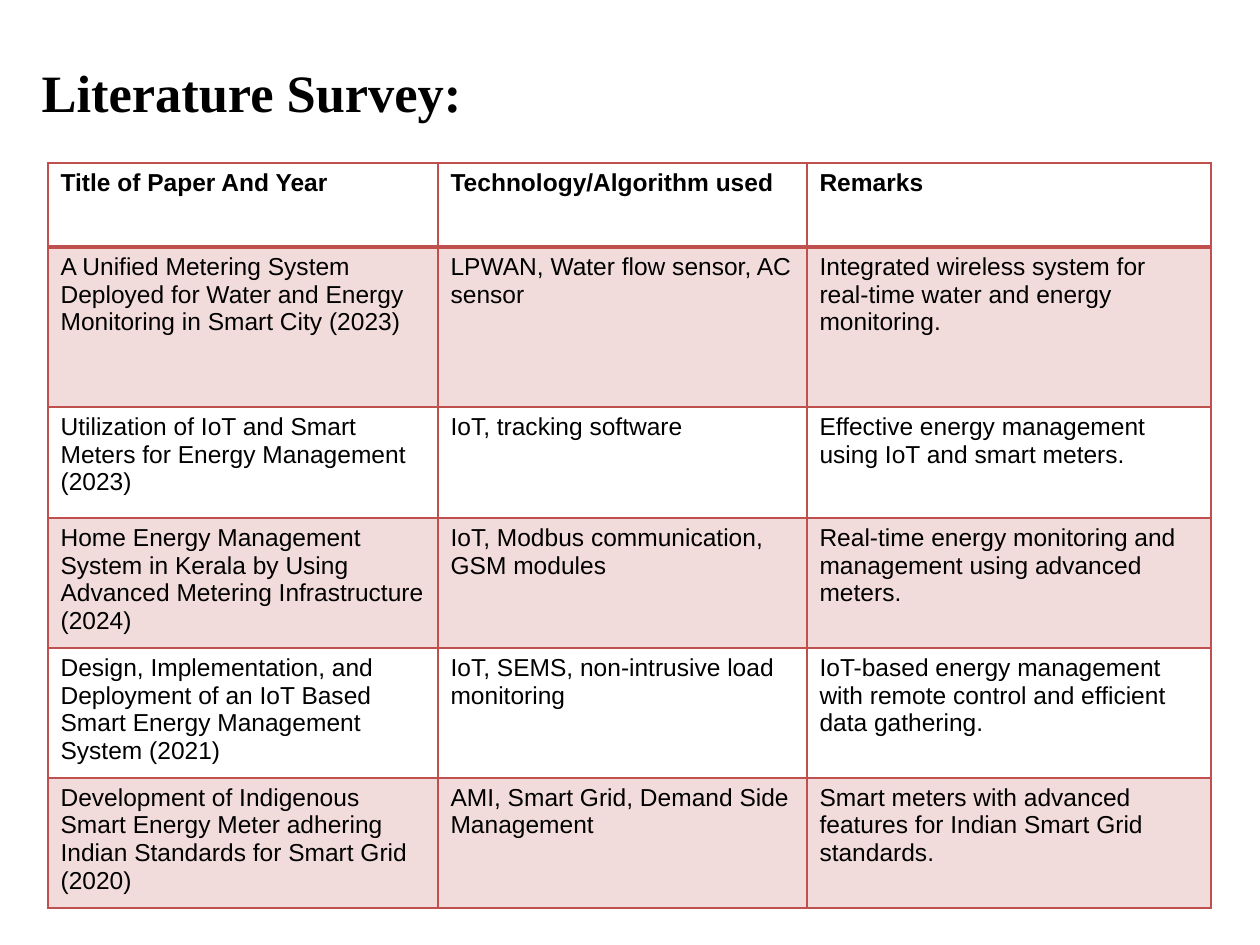
from lxml.etree import SubElement
from pptx import Presentation
from pptx.dml.color import RGBColor
from pptx.enum.text import MSO_ANCHOR, PP_ALIGN
from pptx.oxml import parse_xml
from pptx.oxml.ns import nsdecls, qn
from pptx.util import Emu, Pt

RED = "C0504D"
BLACK = "000000"
COLUMN_WIDTHS = [390, 369, 404]
ROW_HEIGHTS = [84, 160, 111, 130, 130, 130]
SURVEY = [
    ("Title of Paper And Year", "Technology/Algorithm used", "Remarks"),
    ("A Unified Metering System Deployed for Water and Energy Monitoring in Smart City (2023)",
     "LPWAN, Water flow sensor, AC sensor",
     "Integrated wireless system for real-time water and energy monitoring."),
    ("Utilization of IoT and Smart Meters for Energy Management (2023)",
     "IoT, tracking software",
     "Effective energy management using IoT and smart meters."),
    ("Home Energy Management System in Kerala by Using Advanced Metering Infrastructure (2024)",
     "IoT, Modbus communication, GSM modules",
     "Real-time energy monitoring and management using advanced meters."),
    ("Design, Implementation, and Deployment of an IoT Based Smart Energy Management System (2021)",
     "IoT, SEMS, non-intrusive load monitoring",
     "IoT-based energy management with remote control and efficient data gathering."),
    ("Development of Indigenous Smart Energy Meter adhering Indian Standards for Smart Grid (2020)",
     "AMI, Smart Grid, Demand Side Management",
     "Smart meters with advanced features for Indian Smart Grid standards."),
]


def px(length):
    return Emu(round(length * 914400 / 126))


def color(hex_code):
    return RGBColor.from_string(hex_code)


def add_span(para, text, font, size, bold=False):
    span = para.add_run()
    span.text = text
    span.font.name = font
    span.font.size = Pt(size)
    span.font.bold = bold
    span.font.color.rgb = color(BLACK)


def add_title(page, text):
    box = page.shapes.title
    box.left, box.top, box.width, box.height = px(29), px(45), px(1134), px(93)
    frame = box.text_frame
    frame.word_wrap = True
    frame.vertical_anchor = MSO_ANCHOR.MIDDLE
    para = frame.paragraphs[0]
    para.alignment = PP_ALIGN.LEFT
    add_span(para, text, "Times New Roman", 30, bold=True)


def fill_cell(cell, shaded):
    if not shaded:
        cell.fill.background()
        return
    cell.fill.solid()
    cell.fill.fore_color.rgb = color(RED)
    tint = cell._tc.tcPr.find(".//" + qn("a:srgbClr"))
    SubElement(tint, qn("a:alpha"), val="20000")


def border_cell(cell, widths):
    # Borders come before the fill in the cell properties
    properties = cell._tc.get_or_add_tcPr()
    for position, (side, width) in enumerate(widths.items()):
        properties.insert(position, parse_xml(
            f'<a:ln{side} {nsdecls("a")} w="{Pt(width)}"><a:solidFill>'
            f'<a:srgbClr val="{RED}"/></a:solidFill></a:ln{side}>'))


def add_survey_table(page):
    frame = page.shapes.add_table(
        len(SURVEY), len(COLUMN_WIDTHS), px(48), px(163),
        px(sum(COLUMN_WIDTHS)), px(sum(ROW_HEIGHTS)))
    table = frame.table
    table.first_row = table.horz_banding = False
    for column, width in zip(table.columns, COLUMN_WIDTHS):
        column.width = px(width)
    for index, (row, height, texts) in enumerate(zip(table.rows, ROW_HEIGHTS, SURVEY)):
        row.height = px(height)
        # The rule under the heading row is heavier
        widths = {"L": 1, "R": 1, "T": 2 if index == 1 else 1, "B": 2 if index == 0 else 1}
        for cell, text in zip(row.cells, texts):
            add_span(cell.text_frame.paragraphs[0], text, "Arial", 14, bold=index == 0)
            fill_cell(cell, shaded=index % 2 == 1)
            border_cell(cell, widths)


def main():
    deck = Presentation()
    deck.slide_width, deck.slide_height = px(1260), px(945)
    page = deck.slides.add_slide(deck.slide_layouts[5])
    add_title(page, "Literature Survey:")
    add_survey_table(page)
    deck.save("out.pptx")


if __name__ == "__main__":
    main()
